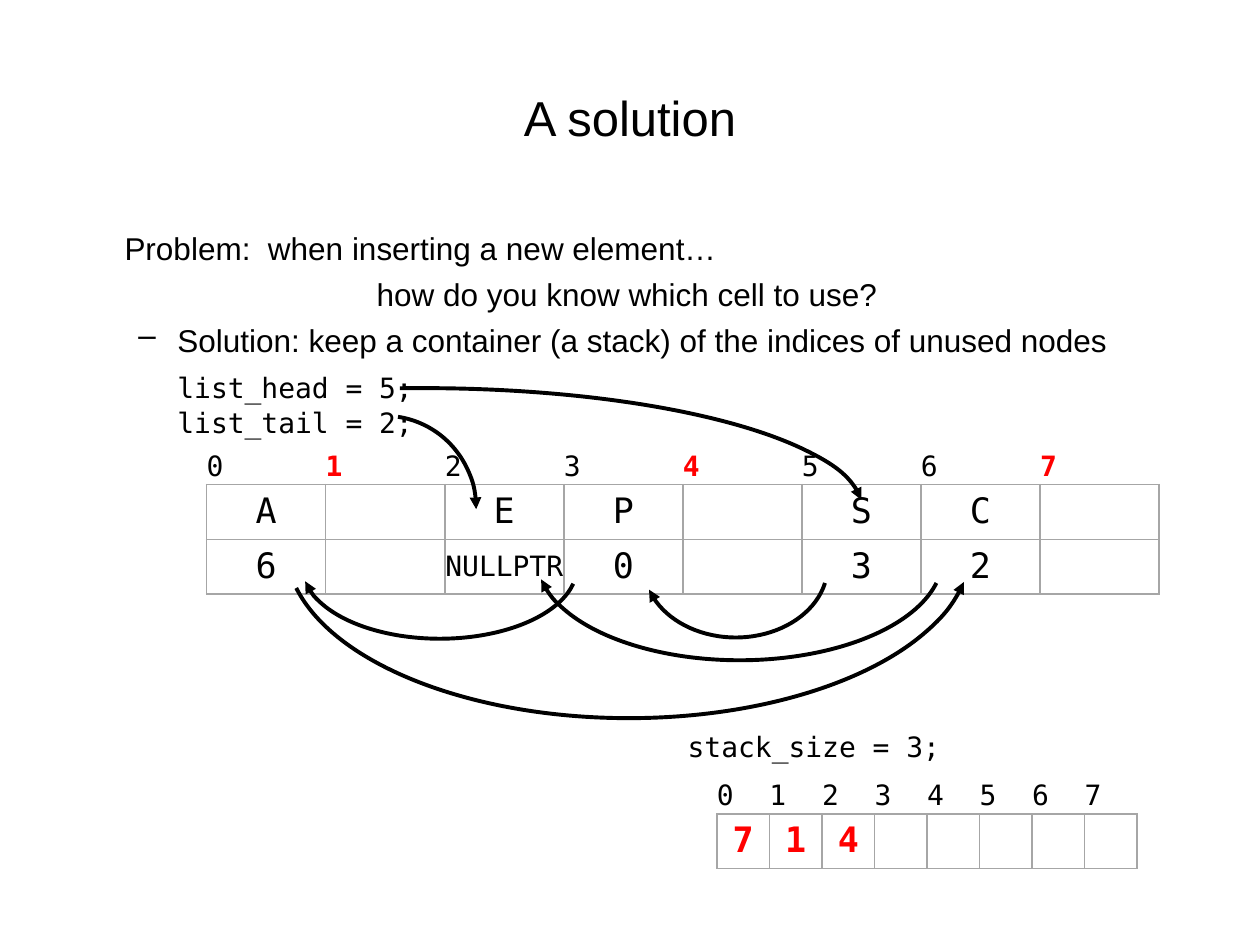
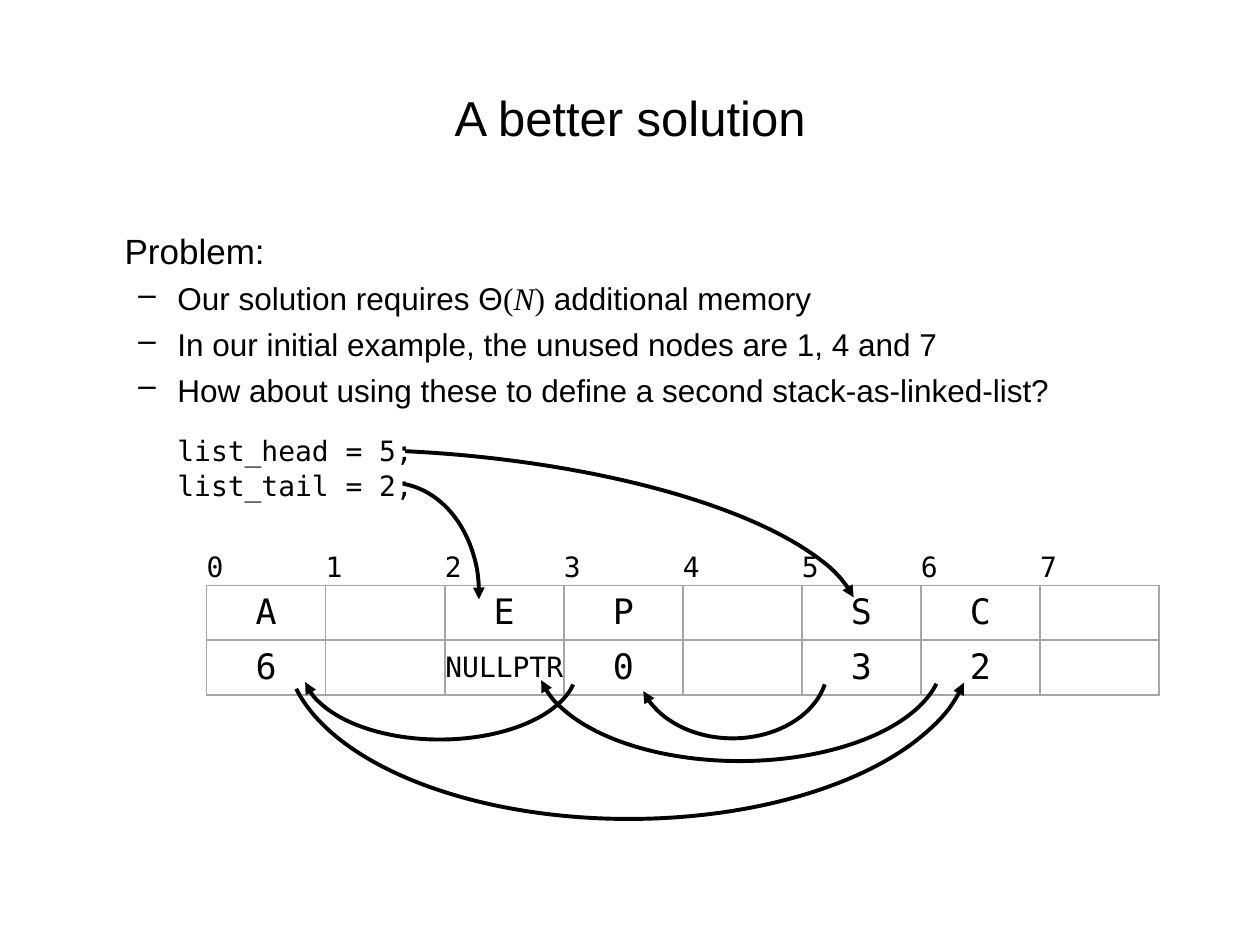
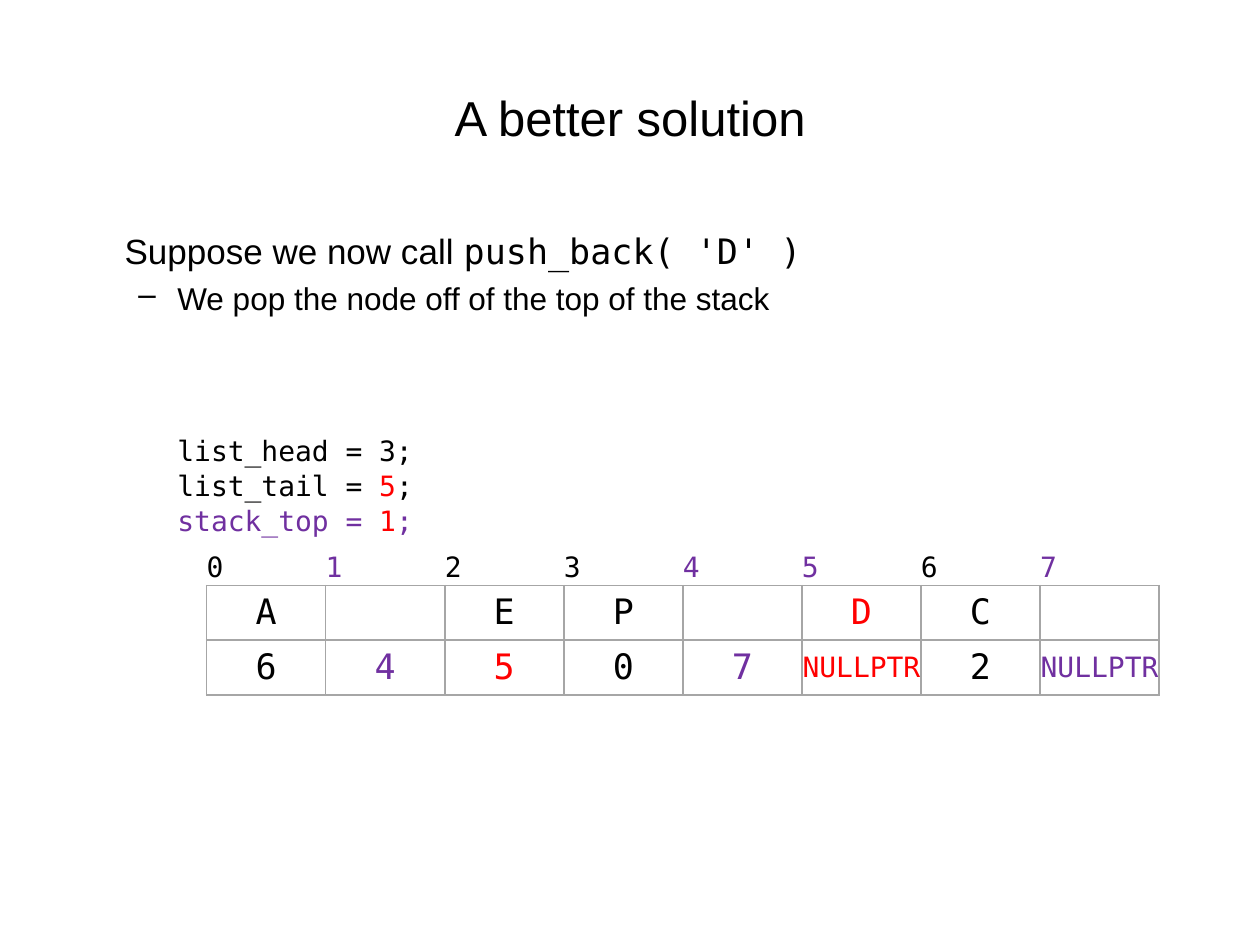
from lxml import etree
from pptx import Presentation
from pptx.dml.color import RGBColor
from pptx.enum.shapes import MSO_SHAPE
from pptx.enum.text import MSO_ANCHOR, PP_ALIGN
from pptx.oxml.ns import qn
from pptx.util import Inches, Pt

ARC = MSO_SHAPE.ARC
MID = MSO_ANCHOR.MIDDLE
LEFT, CENTER = PP_ALIGN.LEFT, PP_ALIGN.CENTER
TITLE_ONLY = 5
PLAIN_TABLE = "{2D5ABB26-0587-4C30-8999-92F81FD0307C}"

BLACK, RED, VIOLET, GREY = "000000", "FF0000", "7030A0", "A6A6A6"
SANS, MONO, SERIF = "Arial", "DejaVu Sans Mono", "Times New Roman"

# Text formats; a run may override any value
HEAD = {"name": SANS, "size": Pt(28), "color": BLACK}
LEAD = {**HEAD, "size": Pt(20)}
ITEM = {**HEAD, "size": Pt(18)}
CODE = {"name": MONO, "size": Pt(16), "color": BLACK}
CELL = {**CODE, "size": Pt(20)}
HOT = {"color": RED, "bold": True}
NEW = {"color": RED}
FREE = {"color": VIOLET}

# Node table
NULL = "NULLPTR"
INDEX = "01234567"
VALS = ["A", "", "E", "P", "", "S", "C", ""]
NEXTS = ["6", "", NULL, "0", "", "3", "2", ""]


def tint(code):
    return RGBColor.from_string(code)


def lead(runs, base=LEAD, margin=3.9):
    return runs, base, margin, False


def dash(runs):
    return runs, ITEM, 8.1, True


class Deck:
    """Holds the style and the current slide; the grid is 100 by 75 units."""

    def __init__(self):
        self.prs = Presentation()
        self.prs.slide_width, self.prs.slide_height = Inches(10), Inches(7.5)
        self.unit = self.prs.slide_width / 100

    def span(self, *vals):
        return [round(v * self.unit) for v in vals]

    def put(self, par, runs, base):
        """Fill a paragraph with a string or a list of (text, format) runs."""
        for text, extra in [(runs, {})] if isinstance(runs, str) else runs:
            run = par.add_run()
            run.text = text
            for key, val in {**base, **extra}.items():
                if key == "color":
                    run.font.color.rgb = tint(val)
                else:
                    setattr(run.font, key, val)

    def page(self, title):
        layout = self.prs.slide_layouts[TITLE_ONLY]
        self.slide = self.prs.slides.add_slide(layout)
        box = self.slide.shapes.title
        box.left, box.top, box.width, box.height = self.span(5, 3, 90, 12.5)
        box.text_frame.vertical_anchor = MID
        par = box.text_frame.paragraphs[0]
        par.alignment = CENTER
        self.put(par, title, HEAD)

    def text(self, place, rows, gap):
        """Rows are (runs, format, left margin, dashed)."""
        box = self.slide.shapes.add_textbox(*self.span(*place))
        frame = box.text_frame
        frame.word_wrap = True
        for i, (runs, base, margin, dashed) in enumerate(rows):
            par = frame.add_paragraph() if i else frame.paragraphs[0]
            props = par._p.get_or_add_pPr()
            left, hang = self.span(margin, -3.1 if dashed else 0)
            props.set("marL", str(left))
            props.set("indent", str(hang))
            if dashed:
                etree.SubElement(props, qn("a:buChar"), char="–")
            if i:
                par.space_before = Pt(gap)
            self.put(par, runs, base)

    def body(self, *rows):
        self.text((5, 17.7, 90, 49.5), rows, 4.5)

    def code(self, x, y, *rows):
        place = (x, y, 23.9, 1 + 2.7 * len(rows))
        self.text(place, [lead(row, CODE, 0) for row in rows], 0.8)

    def edge(self, cell, sides):
        props = cell._tc.get_or_add_tcPr()
        for i, side in enumerate(sides):
            line = etree.Element(qn("a:ln" + side), w=str(int(Pt(1))))
            fill = etree.SubElement(line, qn("a:solidFill"))
            etree.SubElement(fill, qn("a:srgbClr"), val=GREY)
            props.insert(i, line)

    def table(self, x, y, wide, highs, rows, marks):
        """First row holds the indices; marks maps (row, column) to a format."""
        count = len(rows[0])
        frame = self.slide.shapes.add_table(
            len(rows), count, *self.span(x, y, wide * count, sum(highs)))
        grid = frame.table
        grid.first_row = grid.horz_banding = False
        grid._tbl.tblPr.find(qn("a:tableStyleId")).text = PLAIN_TABLE
        for col in grid.columns:
            col.width = self.span(wide)[0]
        for r, (row, high) in enumerate(zip(rows, highs)):
            grid.rows[r].height = self.span(high)[0]
            for c, word in enumerate(row):
                cell = grid.cell(r, c)
                cell.fill.background()
                self.edge(cell, "LRTB" if r else "B")
                tight = r == 0 or word == NULL
                if tight:
                    for side in ("left", "right", "top", "bottom"):
                        setattr(cell, "margin_" + side, 0)
                if word == NULL:
                    cell.vertical_anchor = MID
                if word:
                    par = cell.text_frame.paragraphs[0]
                    par.alignment = CENTER if r else LEFT
                    base = CODE if tight else CELL
                    self.put(par, word, {**base, **marks.get((r, c), {})})

    def nodes(self, y, vals, nexts, marks):
        highs = (2.5, 4.2, 4.2)
        self.table(16.4, y, 9.45, highs, [INDEX, vals, nexts], marks)

    def arc(self, place, sweep, flip, end, turn=0):
        """Sweep gives the first and last angle in degrees."""
        arc = self.slide.shapes.add_shape(ARC, *self.span(*place))
        arc.shadow.inherit = False
        arc.fill.background()
        arc.line.color.rgb = tint(BLACK)
        arc.line.width = Pt(2.25)
        for i, deg in enumerate(sweep):
            arc.adjustments[i] = deg * 0.6
        arc.rotation = turn
        props = arc._element.spPr
        for axis in flip:
            props.get_or_add_xfrm().set("flip" + axis, "1")
        etree.SubElement(props.get_or_add_ln(), qn(f"a:{end}End"),
                         type="triangle")

    def links(self, y, x, wide):
        """Arcs under the node table; x and wide place the shortest one."""
        full = (186.1, 352.83)
        for left, drop, w, h, sweep, flip in (
                (24, 9.6, 21.8, 11.4, full, "V"),
                (x, 9.5, wide, 11.4, (195.44, 349.03), "V"),
                (22.7, 0, 54.4, 27.3, full, "HV"),
                (42.6, 6.5, 32.2, 16.2, full, "V")):
            self.arc((left, y + drop, w, h), sweep, flip, "head")

    def ends(self, head, tail, stop, turn):
        """Arcs from the list_head and list_tail lines to their nodes."""
        self.arc(head, (259.39, stop), "HV", "tail", turn)
        self.arc(tail, (273.5, 355.1), "HV", "tail", 185)


def main():
    deck = Deck()

    # Stack of unused indices
    deck.page("A solution")
    deck.body(lead("Problem:  when inserting a new element…", ITEM),
              lead("how do you know which cell to use?", ITEM, 23.9),
              dash("Solution: keep a container (a stack) of the indices "
                   "of unused nodes"))
    deck.nodes(35.8, VALS, NEXTS, {(0, c): HOT for c in (1, 4, 7)})
    deck.code(13.1, 28.9, "list_head = 5;", "list_tail = 2;")
    stack = ["7", "1", "4"] + [""] * 5
    deck.table(56.9, 61.9, 4.17, (2.7, 4.3), [INDEX, stack],
               {(1, c): HOT for c in range(3)})
    deck.code(53.6, 57.4, "stack_size = 3;")
    deck.links(29.7, 51.1, 14.6)
    deck.ends((-1.4, 30.8, 69.9, 19.5), (23.2, 33, 14.6, 14.8), 358.54, 180)

    # Second list proposed
    deck.page("A better solution")
    deck.body(lead("Problem:"),
              dash([("Our solution requires Θ", {}), ("(", {"name": SERIF}),
                    ("N", {"name": SERIF, "italic": True}),
                    (")", {"name": SERIF}), (" additional memory", {})]),
              dash("In our initial example, the unused nodes are 1, 4 and 7"),
              dash("How about using these to define a second "
                   "stack-as-linked-list?"))
    deck.nodes(43.8, VALS, NEXTS, {})
    deck.code(13.1, 33.9, "list_head = 5;", "list_tail = 2;")
    deck.links(37.7, 50.6, 15.1)
    deck.ends((-1.3, 35.9, 69.6, 22.6), (23.4, 38.3, 14.6, 18.5), 356.45,
              183.9)

    # Node popped for the new element
    deck.page("A better solution")
    deck.body(lead([("Suppose we now call ", {}),
                    ("push_back( 'D' )", {"name": MONO})]),
              dash("We pop the node off of the top of the stack"))
    marks = {(0, c): FREE for c in (1, 4, 5, 7)}
    marks.update({(2, c): FREE for c in (1, 4, 7)})
    marks.update({spot: NEW for spot in ((1, 5), (2, 2), (2, 5))})
    deck.nodes(43.8, ["A", "", "E", "P", "", "D", "C", ""],
               ["6", "4", "5", "0", "7", NULL, "2", NULL], marks)
    deck.code(13.1, 33.9, "list_head = 3;",
              [("list_tail = ", {}), ("5", NEW), (";", {})],
              [("stack_top = ", FREE), ("1", NEW), (";", FREE)])

    deck.prs.save("out.pptx")


if __name__ == "__main__":
    main()
